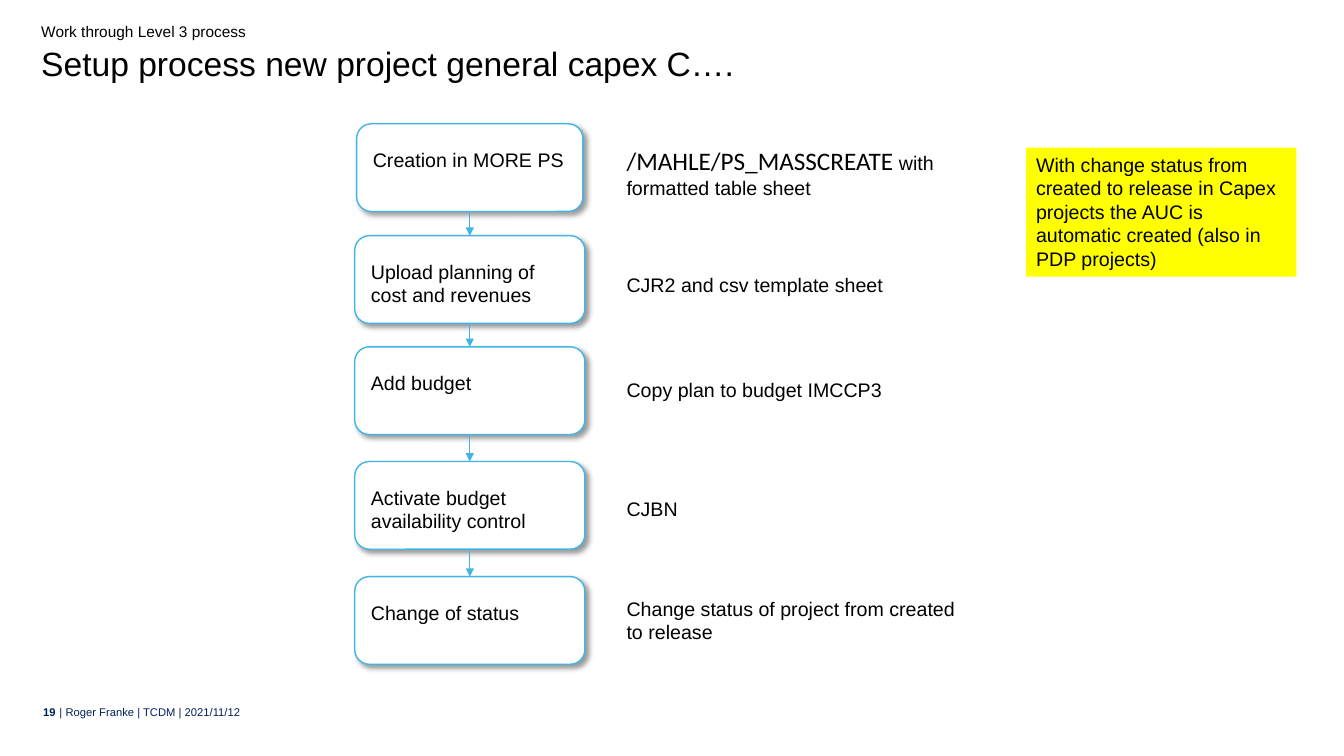
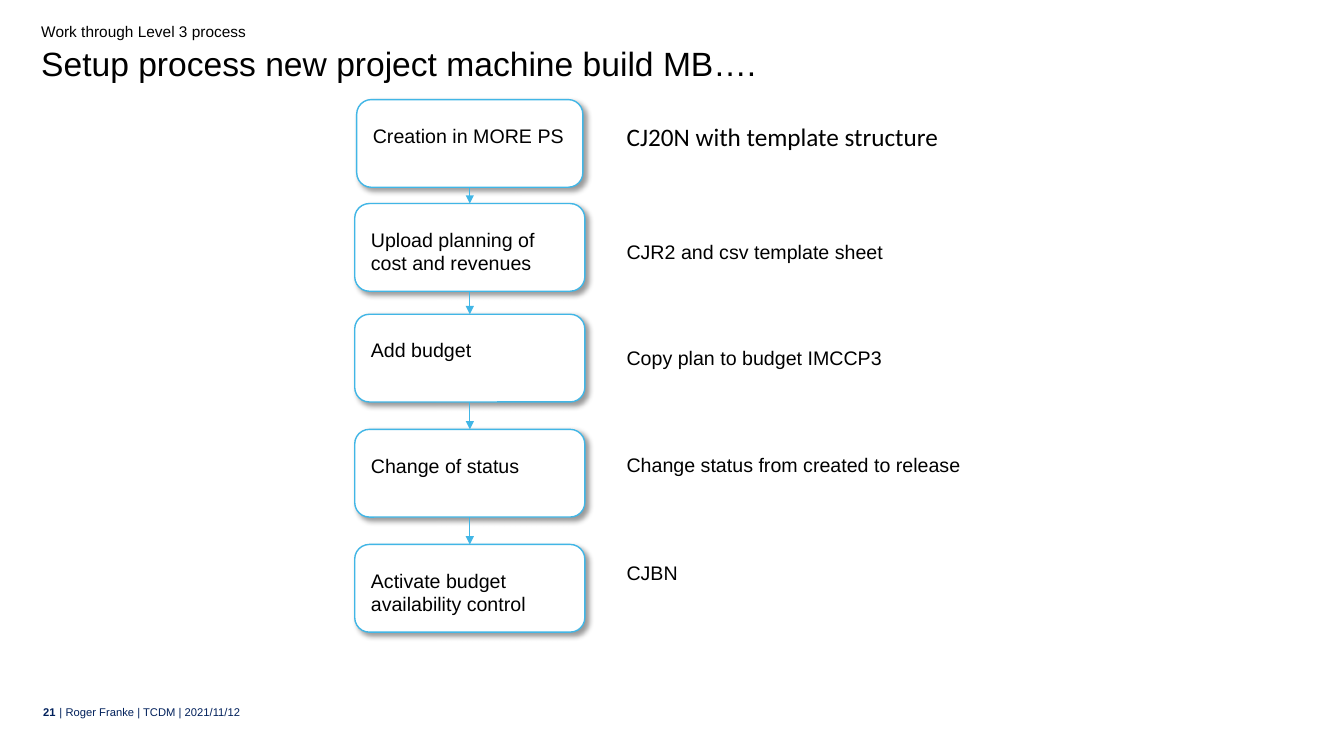
from lxml import etree
from pptx import Presentation
from pptx import util as u
from pptx.dml.color import RGBColor
from pptx.enum import shapes, text
from pptx.oxml import ns

COLOURS = {"ink": "000000", "navy": "00205B", "sky": "41B6E6",
           "paper": "FFFFFF", "highlight": "FFFF00"}

SECTION = "Work through Level 3 process"
FOOTER = "| Roger Franke | TCDM | 2021/11/12"
CODE = {"size": 18, "font": "Calibri"}

# Each step: label, top of its box, note runs, top and height of the note (cm)
PROCESSES = [
    {"number": "19",
     "title": "Setup process new project general capex C….",
     "steps": [
         ("Creation in MORE PS", 3.12,
          [("/MAHLE/PS_MASSCREATE", CODE), (" with formatted table sheet", {})], 3.53, 1.63),
         ("Upload planning of cost and revenues", 5.94,
          [("CJR2 and csv template sheet", {})], 6.76, 0.86),
         ("Add budget", 8.74, [("Copy plan to budget IMCCP3", {})], 9.4, 0.86),
         ("Activate budget availability control", 11.63, [("CJBN", {})], 12.4, 0.86),
         ("Change of status", 14.53,
          [("Change status of project from created to release", {})], 14.91, 1.45),
     ],
     "remark": "With change status from created to release in Capex projects "
               "the AUC is automatic created (also in PDP projects)"},
    {"number": "21",
     "title": "Setup process new project machine build MB….",
     "steps": [
         ("Creation in MORE PS", 2.51,
          [("CJ20N with template structure", CODE)], 2.92, 1.02),
         ("Upload planning of cost and revenues", 5.13,
          [("CJR2 and csv template sheet", {})], 5.92, 0.86),
         ("Add budget", 7.92, [("Copy plan to budget IMCCP3", {})], 8.59, 0.86),
         ("Change of status", 10.82,
          [("Change status from created to release", {})], 11.28, 0.86),
         ("Activate budget availability control", 13.72, [("CJBN", {})], 14.0, 0.86),
     ]},
]

FLOW_CENTRE = 11.84
FIRST_WIDTH, STEP_WIDTH, STEP_HEIGHT = 5.7, 5.8, 2.21
NOTE_LEFT, NOTE_WIDTH = 15.54, 9.27
DEFAULT_INSETS = (0.25, 0.13, 0.25, 0.13)
STEP_INSETS = (0.3, 0.5, 0.3, 0.5)
HEADING_INSETS = (0, 0, 0.25, 0)
NO_INSETS = (0, 0, 0, 0)


def rgb(name):
    return RGBColor.from_string(COLOURS[name])


def write(shape, runs, size=14, font="Arial", colour="ink", bold=False, spacing=None,
          align=text.PP_ALIGN.LEFT, anchor=text.MSO_ANCHOR.TOP, insets=DEFAULT_INSETS):
    """Fill a shape with a string or with (text, format) runs."""
    frame = shape.text_frame
    frame.word_wrap = True
    frame.vertical_anchor = anchor
    (frame.margin_left, frame.margin_top,
     frame.margin_right, frame.margin_bottom) = map(u.Cm, insets)
    paragraph = frame.paragraphs[0]
    paragraph.alignment = align
    paragraph.line_spacing = spacing
    for words, style in [(runs, {})] if isinstance(runs, str) else runs:
        run = paragraph.add_run()
        run.text = words
        run.font.size = u.Pt(style.get("size", size))
        run.font.name = style.get("font", font)
        run.font.bold = bold
        run.font.color.rgb = rgb(colour)


def add_text(slide, place, runs, **style):
    write(slide.shapes.add_textbox(*map(u.Cm, place)), runs, **style)


def add_panel(slide, kind, place, fill, line=None):
    panel = slide.shapes.add_shape(kind, *map(u.Cm, place))
    panel.shadow.inherit = False
    panel.fill.solid()
    panel.fill.fore_color.rgb = rgb(fill)
    if line:
        panel.line.color.rgb = rgb(line)
        panel.line.width = u.Pt(1)
    else:
        panel.line.fill.background()
    return panel


def cast_shadow(panel):
    effects = panel._element.spPr.find(ns.qn("a:effectLst"))
    shadow = etree.SubElement(effects, ns.qn("a:outerShdw"), blurRad=str(u.Pt(4)),
                              dist=str(u.Pt(3)), dir="2700000", algn="tl", rotWithShape="0")
    black = etree.SubElement(shadow, ns.qn("a:srgbClr"), val=COLOURS["ink"])
    etree.SubElement(black, ns.qn("a:alpha"), val="40000")


def add_step(slide, label, top, width):
    step = add_panel(slide, shapes.MSO_SHAPE.ROUNDED_RECTANGLE,
                     (FLOW_CENTRE - width / 2, top, width, STEP_HEIGHT), "paper", "sky")
    cast_shadow(step)
    write(step, label, insets=STEP_INSETS)
    return step


def add_arrow(slide, upper, lower):
    arrow = slide.shapes.add_connector(shapes.MSO_CONNECTOR.STRAIGHT, 0, 0, 0, 0)
    arrow.begin_connect(upper, 2)
    arrow.end_connect(lower, 0)
    arrow.line.color.rgb = rgb("sky")
    arrow.line.width = u.Pt(0.5)
    etree.SubElement(arrow.line._get_or_add_ln(), ns.qn("a:tailEnd"), type="triangle")
    etree.SubElement(arrow._element.spPr, ns.qn("a:effectLst"))


def add_frame(slide, title, number):
    """Add the section line, title and footer that every slide has."""
    add_text(slide, (1.04, 0.46, 15.67, 0.56), SECTION,
             size=11, spacing=1.2, insets=HEADING_INSETS)
    add_text(slide, (1.04, 1.19, 20, 2.34), title,
             size=24, spacing=0.9, insets=HEADING_INSETS)
    footer = {"size": 8, "colour": "navy", "anchor": text.MSO_ANCHOR.MIDDLE,
              "insets": NO_INSETS}
    add_text(slide, (0.79, 17.63, 0.61, 0.64), number,
             bold=True, align=text.PP_ALIGN.RIGHT, **footer)
    add_text(slide, (1.5, 17.63, 20.83, 0.64), FOOTER, **footer)


def add_process(slide, process):
    add_frame(slide, process["title"], process["number"])
    previous = None
    for label, top, note, note_top, note_height in process["steps"]:
        step = add_step(slide, label, top, STEP_WIDTH if previous else FIRST_WIDTH)
        if previous:
            add_arrow(slide, previous, step)
        add_text(slide, (NOTE_LEFT, note_top, NOTE_WIDTH, note_height), note)
        previous = step
    if "remark" in process:
        remark = add_panel(slide, shapes.MSO_SHAPE.RECTANGLE,
                           (25.86, 3.72, 6.81, 3.25), "highlight")
        write(remark, process["remark"])


def main():
    deck = Presentation()
    deck.slide_width, deck.slide_height = u.Cm(33.87), u.Cm(19.05)
    for process in PROCESSES:
        add_process(deck.slides.add_slide(deck.slide_layouts[6]), process)
    deck.save("out.pptx")


if __name__ == "__main__":
    main()
